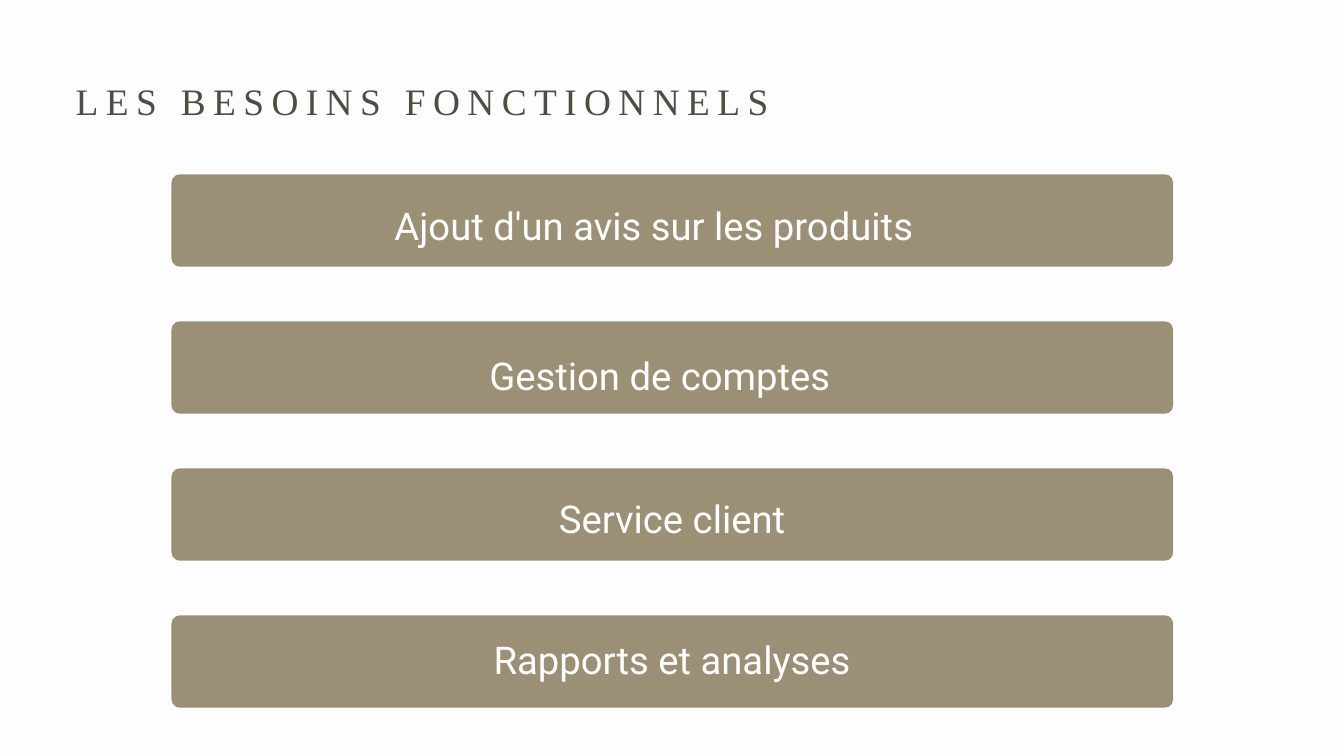
from pptx import Presentation
from pptx.dml.color import RGBColor
from pptx.enum.shapes import MSO_SHAPE as SHAPE
from pptx.enum.text import MSO_ANCHOR as ANCHOR, MSO_AUTO_SIZE as FIT, PP_ALIGN as ALIGN
from pptx.util import Pt

PX = 9525
COLORS = {"background": "FDFDFD", "bar": "9B8F76", "title": "504C44", "label": "FFFFFF"}
BAR_LEFT, BAR_TOP, BAR_WIDTH, BAR_HEIGHT, BAR_PITCH = 245, 249, 1431, 132, 210
INSET = 6
NEEDS = [
    ("Ajout d'un avis sur les produits", 52, 1),
    ("Gestion de comptes", 35, 5),
    ("Service client", 0, 0),
    ("Rapports et analyses", 0, -9),
]


def color(name):
    return RGBColor.from_string(COLORS[name])


def set_margins(tf, left, top, right, bottom):
    tf.margin_left, tf.margin_top = left * PX, top * PX
    tf.margin_right, tf.margin_bottom = right * PX, bottom * PX


def write_line(tf, text, font, size, spacing, color_name, align):
    tf.text = text
    p = tf.paragraphs[0]
    p.alignment = align
    p.line_spacing = Pt(spacing)
    r = p.runs[0]
    r.font.name = font
    r.font.size = Pt(size)
    r.font.color.rgb = color(color_name)
    return r


def add_title(s, text):
    sp = s.shapes.title
    sp.left, sp.top, sp.width, sp.height = (v * PX for v in (108, 101, 1034, 70))
    tf = sp.text_frame
    tf.word_wrap = True
    tf.auto_size = FIT.SHAPE_TO_FIT_TEXT
    tf.vertical_anchor = ANCHOR.TOP
    set_margins(tf, 0, 0, 0, 0)
    r = write_line(tf, text, "Times New Roman", 40, 56, "title", ALIGN.LEFT)
    r.font._element.set("spc", "800")


def add_bar(s, top, text, right_gap, shift):
    sp = s.shapes.add_shape(SHAPE.ROUNDED_RECTANGLE, BAR_LEFT * PX, top * PX,
                            BAR_WIDTH * PX, BAR_HEIGHT * PX)
    sp.adjustments[0] = 0.09
    sp.shadow.inherit = False
    sp.fill.solid()
    sp.fill.fore_color.rgb = color("bar")
    sp.line.fill.background()
    tf = sp.text_frame
    tf.word_wrap = True
    tf.vertical_anchor = ANCHOR.MIDDLE
    set_margins(tf, INSET, INSET + max(0, 2 * shift),
                INSET + right_gap, INSET + max(0, -2 * shift))
    write_line(tf, text, "Roboto", 41, 57.4, "label", ALIGN.CENTER)


def main():
    prs = Presentation()
    prs.slide_width, prs.slide_height = 1920 * PX, 1080 * PX
    s = prs.slides.add_slide(prs.slide_layouts[5])
    s.background.fill.solid()
    s.background.fill.fore_color.rgb = color("background")
    add_title(s, "LES BESOINS FONCTIONNELS")
    for i, (text, right_gap, shift) in enumerate(NEEDS):
        add_bar(s, BAR_TOP + i * BAR_PITCH, text, right_gap, shift)
    prs.save("out.pptx")


if __name__ == "__main__":
    main()
